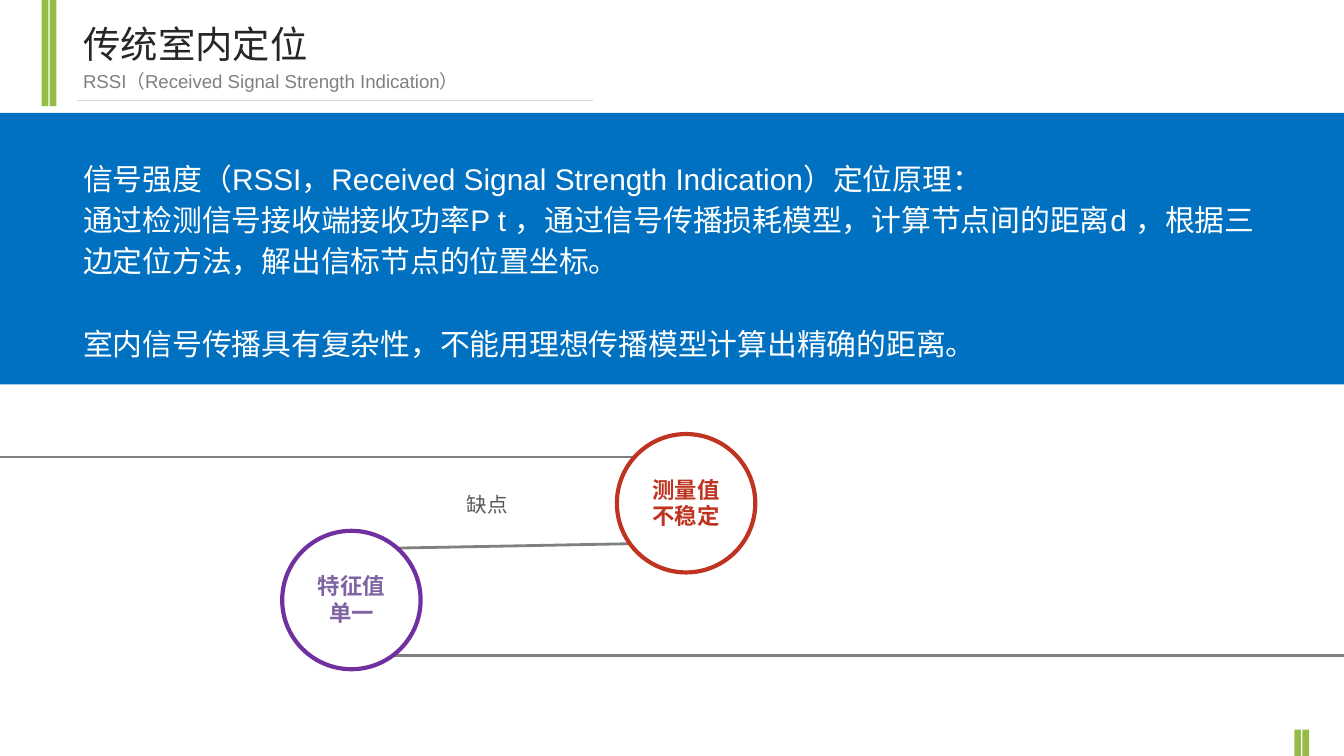
"""Build the slide on classic indoor positioning with RSSI."""
from pptx import Presentation
from pptx.dml.color import RGBColor
from pptx.enum.shapes import MSO_CONNECTOR as Conn, MSO_SHAPE as Shape
from pptx.enum.text import MSO_ANCHOR as Anchor, MSO_AUTO_SIZE as Auto, PP_ALIGN as Align
from pptx.oxml.ns import qn
from pptx.util import Inches, Pt
from lxml import etree

rgb = RGBColor.from_string


def write(box, lines, font, size, color, align=Align.LEFT, space=None, bold=False, wrap=True):
    frame = box.text_frame
    frame.text = "\n".join(lines)
    frame.word_wrap = wrap
    frame.auto_size = Auto.NONE
    frame.vertical_anchor = Anchor.TOP
    for para in frame.paragraphs:
        para.alignment = align
        para.line_spacing = space
        for run in para.runs:
            run.font.name = font
            run.font.size = Pt(size)
            run.font.bold = bold
            run.font.color.rgb = rgb(color)
            east = etree.SubElement(run.font._element, qn("a:ea"))
            east.set("typeface", "Noto Sans CJK SC")
    return frame


def draw(kind, spot, fill, line=None):
    item = shapes.add_shape(kind, *map(Inches, spot))
    item.shadow.inherit = False
    item.fill.solid()
    item.fill.fore_color.rgb = rgb(fill)
    if line:
        item.line.color.rgb = rgb(line)
        item.line.width = Pt(2.25)
    else:
        item.line.fill.background()


deck = Presentation()
deck.slide_width = Inches(10)
deck.slide_height = deck.slide_width * 9 // 16
slide = deck.slides.add_slide(deck.slide_layouts[5])
shapes = slide.shapes

for left, top, high in [(0.31, 0, 0.79), (0.37, 0, 0.79), (9.63, 5.43, 0.2), (9.69, 5.43, 0.2)]:
    draw(Shape.RECTANGLE, (left, top, 0.05, high), "95BC49")

title = shapes.title
title.left, title.top, title.width, title.height = map(Inches, (0.52, 0.11, 4.23, 0.44))
write(title, ["传统室内定位"], "Roboto Condensed", 20, "262626")

label = shapes.add_textbox(*map(Inches, (0.52, 0.47, 4.23, 0.27)))
write(label, ["RSSI（Received Signal Strength Indication）"], "Arial", 10, "808080")

draw(Shape.RECTANGLE, (0, 0.84, 10, 2.02), "0070C0")
body = shapes.add_textbox(*map(Inches, (0.52, 1.11, 8.92, 1.95)))
frame = write(body, [
    "信号强度（RSSI，Received Signal Strength Indication）定位原理：",
    "通过检测信号接收端接收功率P t ，通过信号传播损耗模型，计算节点间的距离d ，根据三边定位方法，解出信标节点的位置坐标。",
    "室内信号传播具有复杂性，不能用理想传播模型计算出精确的距离。",
], "Arial", 16, "FFFFFF", space=Pt(22))
frame.paragraphs[-1].space_before = Pt(22)

for x1, y1, x2, y2, color, width in [
    (0.57, 0.75, 4.41, 0.75, "D9D9D9", 0.75),
    (0, 3.4, 5.1, 3.4, "808080", 1.5),
    (2.43, 4.88, 10, 4.88, "808080", 1.5),
    (2.34, 4.09, 5, 4.04, "808080", 1.5),
]:
    line = shapes.add_connector(Conn.STRAIGHT, *map(Inches, (x1, y1, x2, y2)))
    line.line.color.rgb = rgb(color)
    line.line.width = Pt(width)
    etree.SubElement(line._element.spPr, qn("a:effectLst"))

for left, top, ring, ink, words in [
    (4.59, 3.23, "BF3420", "BF3420", ["测量值", "不稳定"]),
    (2.1, 3.95, "7030A0", "8064A2", ["特征值", "单一"]),
]:
    draw(Shape.OVAL, (left, top, 1.03, 1.03), "FFFFFF", ring)
    text = shapes.add_textbox(*map(Inches, (left + 0.16, top + 0.26, 0.71, 0.5)))
    write(text, words, "Noto Sans CJK SC", 12, ink, Align.CENTER, bold=True, wrap=False)

note = shapes.add_textbox(*map(Inches, (1.48, 3.52, 2.4, 0.35)))
write(note, ["缺点"], "Noto Sans CJK SC", 11, "595959", Align.RIGHT, 1.5)

deck.save("out.pptx")
